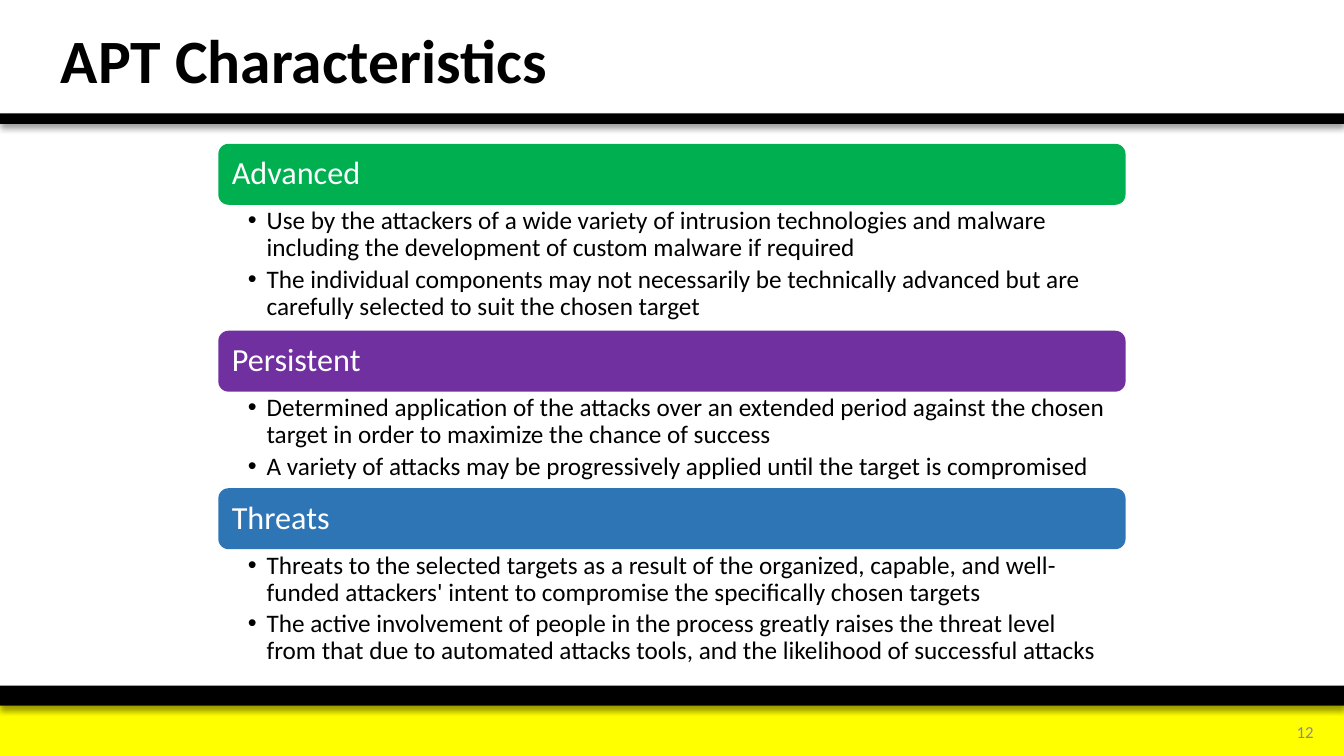
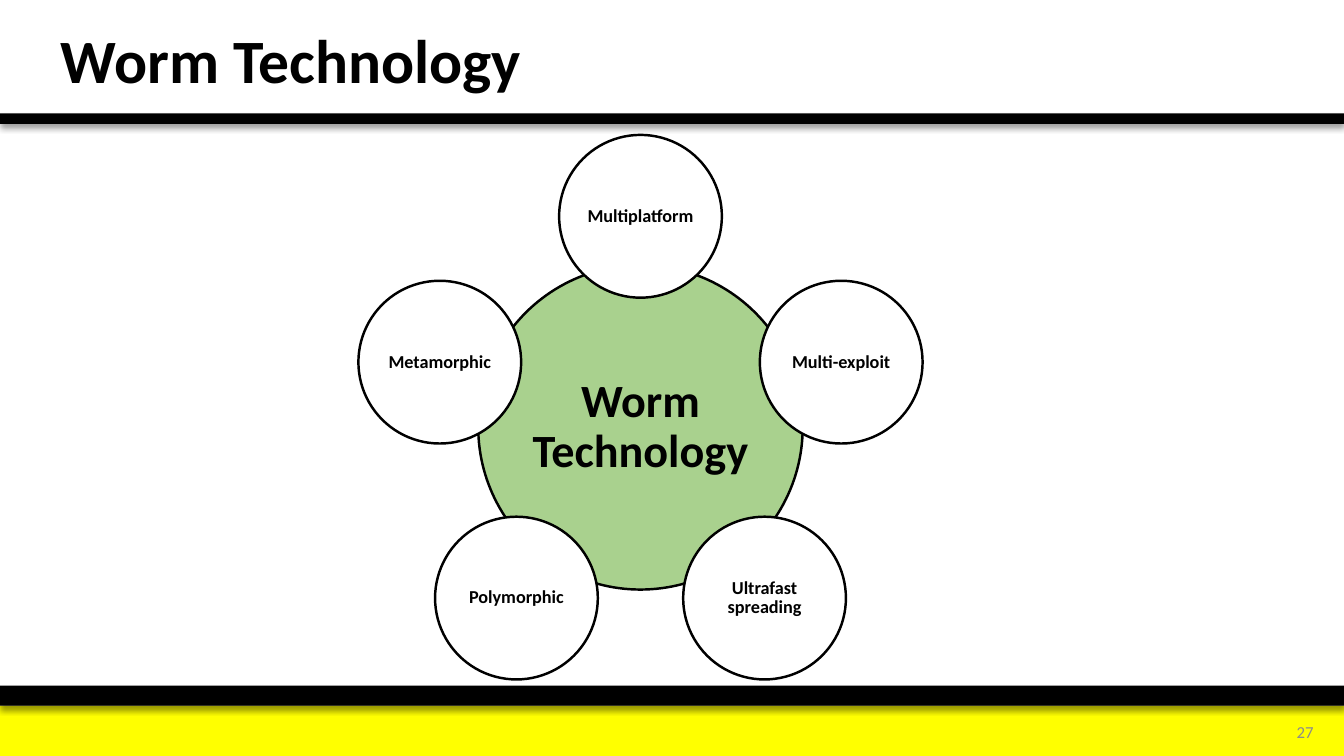
"""Build two slides: APT characteristics and worm technology."""
import math

from lxml import etree
from pptx import Presentation, util as u
from pptx.dml.color import RGBColor
from pptx.enum import shapes, text
from pptx.oxml import ns

PX = 9525
COLORS = {
    "black": "000000", "white": "FFFFFF", "yellow": "FFFF00", "grey": "8C8C8C",
    "green": "00B050", "purple": "7030A0", "blue": "2E75B6", "sage": "A9D18E",
}
ALIGN = text.PP_ALIGN
ANCHOR = text.MSO_ANCHOR
SHAPE = shapes.MSO_SHAPE


def px(n):
    return u.Emu(round(n * PX))


def rgb(name):
    return RGBColor.from_string(COLORS[name])


def sub(parent, tag, **attrs):
    return etree.SubElement(parent, ns.qn(tag), {k: str(v) for k, v in attrs.items()})


class Deck:
    font = "Calibri"
    width, height = 1280, 720

    def __init__(self):
        self.prs = Presentation()
        self.prs.slide_width, self.prs.slide_height = px(self.width), px(self.height)
        self.s = None

    def slide(self, title, number):
        self.s = self.prs.slides.add_slide(self.prs.slide_layouts[6])
        self.shape(SHAPE.RECTANGLE, 0, 672, self.width, 48, "yellow")
        self.band(653, 19)
        self.band(108, 10)
        self.label(1188, 678, 73, 38, number, 12, "grey", align=ALIGN.RIGHT)
        self.label(48, 7, 864, 108, title, 44, "black", bold=True, spacing=0.9)

    def shape(self, kind, x, y, w, h, fill, line=None):
        sp = self.s.shapes.add_shape(kind, px(x), px(y), px(w), px(h))
        sp.shadow.inherit = False
        sp.fill.solid()
        sp.fill.fore_color.rgb = rgb(fill)
        if line:
            sp.line.color.rgb = rgb(line)
            sp.line.width = u.Pt(1.75)
        else:
            sp.line.fill.background()
        return sp

    def band(self, y, h):
        sp = self.shape(SHAPE.RECTANGLE, 0, y, self.width, h, "black")
        effects = sp._element.spPr.find(ns.qn("a:effectLst"))
        shadow = sub(effects, "a:outerShdw", blurRad=u.Pt(4), dist=u.Pt(3),
                     dir=5400000, algn="t", rotWithShape=0)
        sub(sub(shadow, "a:srgbClr", val=COLORS["black"]), "a:alpha", val=40000)

    def box(self, x, y, w, h):
        return self.s.shapes.add_textbox(px(x), px(y), px(w), px(h))

    def frame(self, sp, insets, anchor=ANCHOR.MIDDLE):
        tf = sp.text_frame
        tf.word_wrap = True
        tf.vertical_anchor = anchor
        tf.margin_left, tf.margin_top, tf.margin_right, tf.margin_bottom = map(px, insets)
        return tf

    def style(self, p, size, color, bold=False, align=ALIGN.LEFT, spacing=0.9):
        p.alignment = align
        p.line_spacing = spacing
        p.font.name = self.font
        p.font.size = u.Pt(size)
        p.font.bold = bold
        p.font.color.rgb = rgb(color)

    def label(self, x, y, w, h, words, size, color, bold=False, align=ALIGN.LEFT, spacing=1.0):
        p = self.frame(self.box(x, y, w, h), (10, 5, 10, 5)).paragraphs[0]
        p.text = words
        self.style(p, size, color, bold, align, spacing)

    def header(self, x, y, w, h, words, fill):
        sp = self.shape(SHAPE.ROUNDED_RECTANGLE, x, y, w, h, fill)
        p = self.frame(sp, (10, 10, 10, 10)).paragraphs[0]
        p.text = words
        self.style(p, 23, "white")

    def bullets(self, x, y, w, h, items):
        tf = self.frame(self.box(x, y, w, h), (28, 3, 17, 3), ANCHOR.TOP)
        for i, item in enumerate(items):
            p = tf.add_paragraph() if i else tf.paragraphs[0]
            p.text = item
            pPr = p._p.get_or_add_pPr()
            pPr.set("marL", str(px(18)))
            pPr.set("indent", str(px(-18)))
            sub(pPr, "a:buFont", typeface="Arial")
            sub(pPr, "a:buChar", char="•")
            p.space_after = u.Pt(3)
            self.style(p, 18, "black")

    def circle(self, cx, cy, d, words, size, fill, inset):
        sp = self.shape(SHAPE.OVAL, cx - d / 2, cy - d / 2, d, d, fill, "black")
        p = self.frame(sp, [inset] * 4).paragraphs[0]
        p.text = words
        self.style(p, size, "black", True, ALIGN.CENTER)


def characteristics(deck):
    deck.slide("APT Characteristics", "12")
    sections = [
        ("Advanced", "green", 120, [
            "Use by the attackers of a wide variety of intrusion technologies and malware "
            "including the development of custom malware if required",
            "The individual components may not necessarily be technically advanced but are "
            "carefully selected to suit the chosen target"]),
        ("Persistent", "purple", 92, [
            "Determined application of the attacks over an extended period against the chosen "
            "target in order to maximize the chance of success",
            "A variety of attacks may be progressively applied until the target is compromised"]),
        ("Threats", "blue", 120, [
            "Threats to the selected targets as a result of the organized, capable, and "
            "well-funded attackers' intent to compromise the specifically chosen targets",
            "The active involvement of people in the process greatly raises the threat level "
            "from that due to automated attacks tools, and the likelihood of successful attacks"]),
    ]
    x, y, w, head = 208, 137, 864, 58
    for name, fill, body, items in sections:
        deck.header(x, y, w, head, name, fill)
        deck.bullets(x, y + head, w, body, items)
        y += head + body


def worm(deck):
    deck.slide("Worm Technology", "27")
    cx, cy, orbit = 610, 407, 201
    deck.circle(cx, cy, 309, "Worm Technology", 33, "sage", 5)
    traits = ["Multiplatform", "Multi-exploit", "Ultrafast spreading", "Polymorphic", "Metamorphic"]
    for i, trait in enumerate(traits):
        a = math.tau * i / len(traits)
        deck.circle(cx + orbit * math.sin(a), cy - orbit * math.cos(a), 155, trait, 13, "white", 2)


def main():
    deck = Deck()
    characteristics(deck)
    worm(deck)
    deck.prs.save("out.pptx")


if __name__ == "__main__":
    main()
